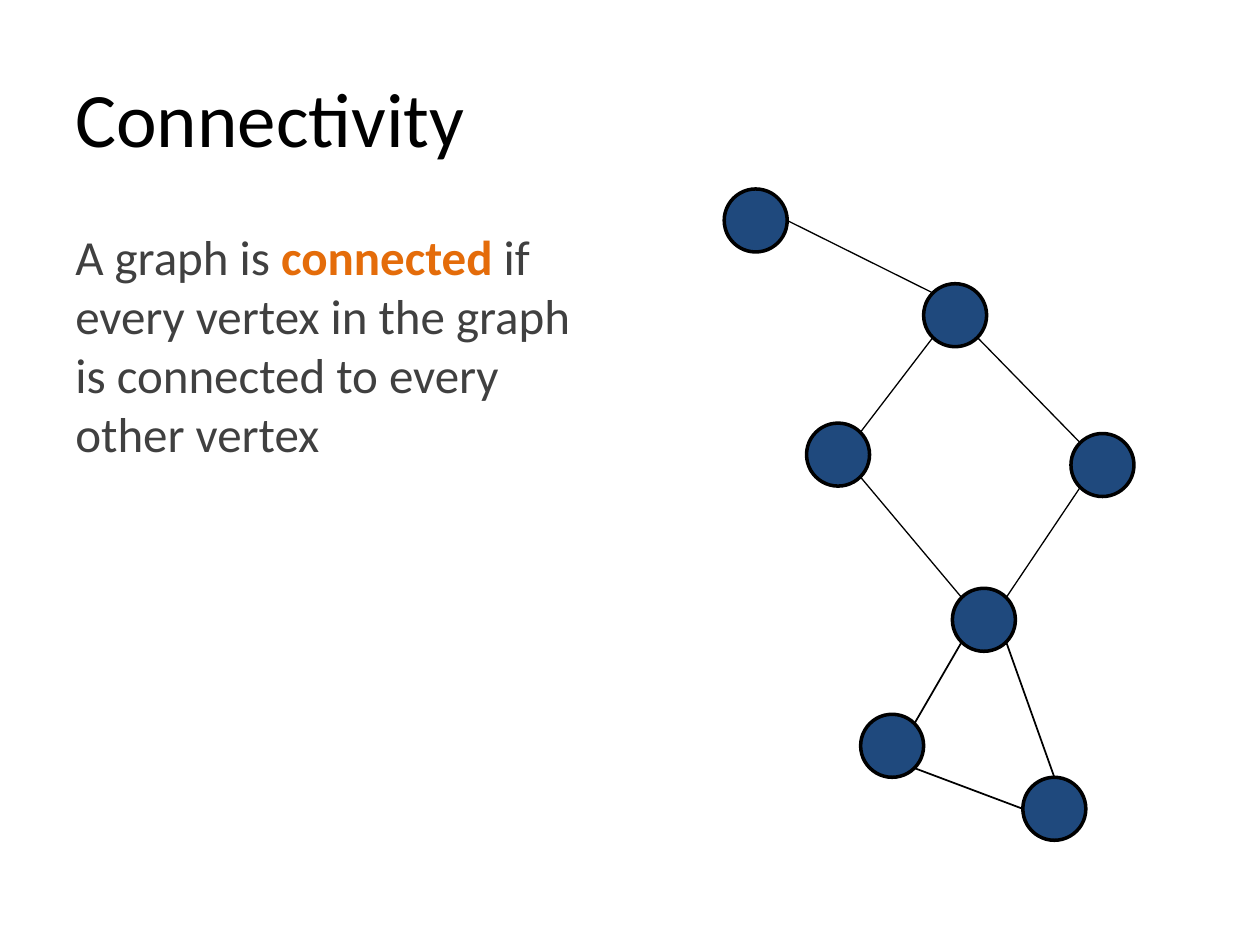
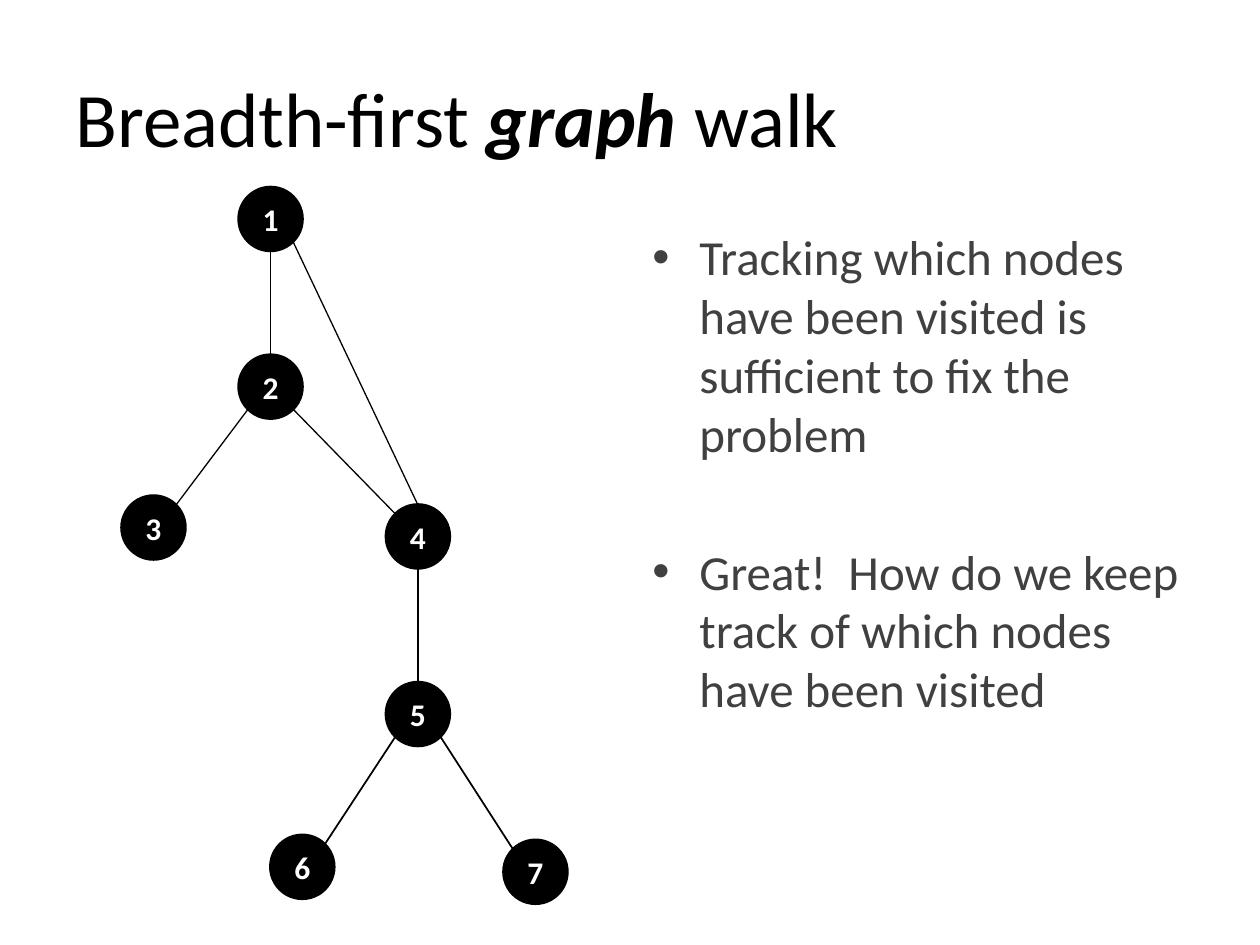
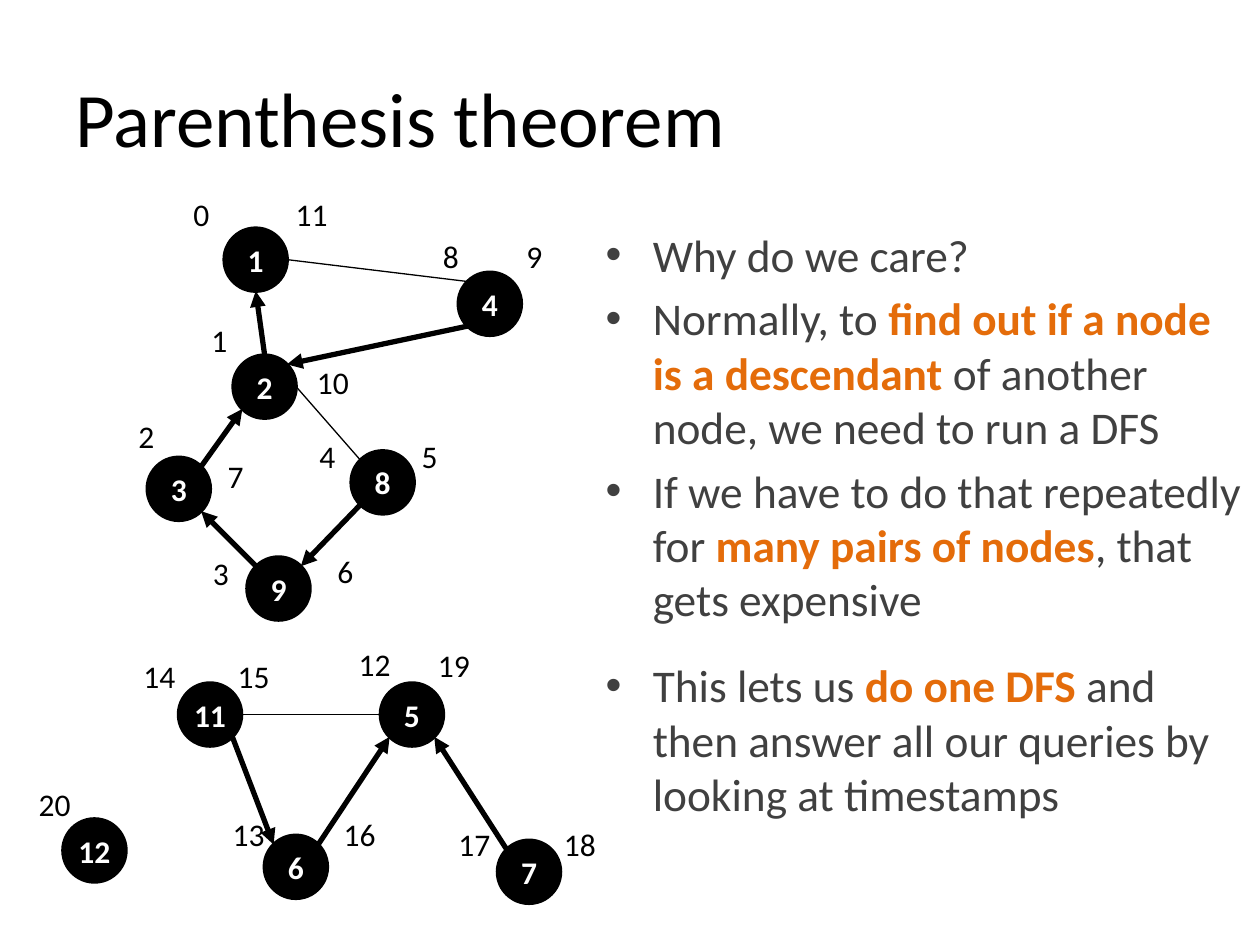
from lxml import etree
from pptx import Presentation
from pptx.dml.color import RGBColor
from pptx.enum.shapes import MSO_CONNECTOR, MSO_SHAPE
from pptx.enum.text import MSO_ANCHOR, PP_ALIGN
from pptx.oxml.ns import qn
from pptx.util import Cm, Pt

STRAIGHT = MSO_CONNECTOR.STRAIGHT
OVAL = MSO_SHAPE.OVAL
MIDDLE = MSO_ANCHOR.MIDDLE
CENTER = PP_ALIGN.CENTER

FONT = "Calibri"
BLACK = "000000"
WHITE = "FFFFFF"
BLUE = "1F497D"
GRAY = "404040"
ORANGE = "E46C0A"

SLIDE_SIZE = (25.4, 19.05)
TITLE_BOX = (1.27, 0.76, 22.86, 3.18)
BODY_TOP = 4.45
BODY_HEIGHT = 12.57
BULLET_INDENT = 0.95
NODE_SIZE = 1.27
NODE_LINE = 2
HAIRLINE = 0.75
THIN = 1
ARROW = 3

TITLE = {"size": Pt(44), "color": BLACK}
TITLE_STRESS = {**TITLE, "bold": True, "italic": True}
BODY = {"size": Pt(28), "color": GRAY}
BODY_STRESS = {**BODY, "bold": True, "color": ORANGE}
SMALL = {**BODY, "size": Pt(25.9)}
SMALL_STRESS = {**BODY_STRESS, "size": Pt(25.9)}
NODE_TEXT = {"size": Pt(18), "color": WHITE, "bold": True}
TIME_TEXT = {"size": Pt(18), "color": BLACK}

DIAGONAL = 0.5 ** 0.5
PORTS = {
    "n": (0, -1),
    "ne": (DIAGONAL, -DIAGONAL),
    "e": (1, 0),
    "se": (DIAGONAL, DIAGONAL),
    "s": (0, 1),
    "sw": (-DIAGONAL, DIAGONAL),
    "w": (-1, 0),
    "nw": (-DIAGONAL, -DIAGONAL),
}

CONNECTED_GRAPH = {
    "box": (14.6, 3.81),
    "fill": BLUE,
    "nodes": {
        "a": (0, 0), "b": (4.02, 1.91), "c": (1.66, 4.72), "d": (4.6, 8.05),
        "e": (6.99, 4.93), "f": (6.02, 11.86), "g": (2.75, 10.59),
    },
    "edges": {
        THIN: ["d se f n", "f w g se", "g ne d sw"],
        HAIRLINE: ["a e b nw", "c ne b sw", "b se e nw", "e sw d ne", "c se d nw"],
    },
}

BREADTH_GRAPH = {
    "box": (2.46, 3.78),
    "fill": BLACK,
    "numbered": True,
    "nodes": {
        "1": (2.36, 0), "2": (2.36, 3.38), "3": (0, 6.22), "4": (5.33, 6.4),
        "5": (5.33, 9.98), "6": (3, 13.06), "7": (7.7, 13.16),
    },
    "edges": {
        THIN: ["5 se 7 nw", "6 ne 5 sw"],
        HAIRLINE: ["3 ne 2 sw", "2 se 4 nw", "1 s 2 n", "4 s 5 n", "4 n 1 se"],
    },
}

DEPTH_GRAPH = {
    "box": (0.53, 3.81),
    "fill": BLACK,
    "numbered": True,
    "nodes": {
        "1": (3.99, 0.79), "2": (4.17, 3.35), "3": (2.44, 5.41), "4": (8.71, 1.68),
        "5": (7.14, 9.96), "6": (4.8, 13.03), "7": (9.5, 13.13), "8": (6.55, 5.28),
        "9": (4.45, 7.42), "11": (3.07, 9.96), "12": (0.74, 12.7),
    },
    "edges": {
        ARROW: ["7 nw 5 se", "6 ne 5 sw", "3 ne 2 sw", "4 sw 2 ne",
                "2 n 1 s", "8 sw 9 ne", "9 nw 3 se", "11 se 6 nw"],
        THIN: ["5 w 11 e"],
        HAIRLINE: ["4 nw 1 e", "2 e 8 nw"],
    },
}

TIMESTAMPS = [
    (3.12, 0), (3.48, 2.54), (2.01, 4.47), (3.51, 7.24), (5.66, 4.88), (7.72, 4.88),
    (6.02, 7.19), (3.81, 5.28), (8.15, 0.84), (9.83, 0.84), (5.61, 3.38), (5.18, 0),
    (6.45, 9.07), (3.91, 12.5), (2.11, 9.32), (4.01, 9.32), (6.15, 12.5), (8.46, 12.7),
    (10.59, 12.7), (8.05, 9.09), (0, 11.89),
]


def rgb(value):
    return RGBColor.from_string(value)


def add_run(paragraph, text, style):
    run = paragraph.add_run()
    run.text = text
    run.font.name = FONT
    for name, value in style.items():
        if name == "color":
            run.font.color.rgb = rgb(value)
        else:
            setattr(run.font, name, value)


def add_text(slide, box, runs, **frame_format):
    frame = slide.shapes.add_textbox(*map(Cm, box)).text_frame
    for name, value in {"word_wrap": True, **frame_format}.items():
        setattr(frame, name, value)
    for text, style in runs:
        add_run(frame.paragraphs[0], text, style)
    return frame


def add_bullet(paragraph):
    properties = paragraph._p.get_or_add_pPr()
    properties.set("marL", str(Cm(BULLET_INDENT)))
    properties.set("indent", str(-Cm(BULLET_INDENT)))
    etree.SubElement(properties, qn("a:buFont")).set("typeface", "Arial")
    etree.SubElement(properties, qn("a:buChar")).set("char", "•")


def add_bullets(slide, left, width, items):
    frame = add_text(slide, (left, BODY_TOP, width, BODY_HEIGHT), [])
    for index, (space, runs) in enumerate(items):
        paragraph = frame.add_paragraph() if index else frame.paragraphs[0]
        paragraph.space_before = Pt(space)
        add_bullet(paragraph)
        for text, style in runs:
            add_run(paragraph, text, style)


def add_node(slide, left, top, fill, text):
    shape = slide.shapes.add_shape(OVAL, *map(Cm, (left, top, NODE_SIZE, NODE_SIZE)))
    shape.shadow.inherit = False
    shape.fill.solid()
    shape.fill.fore_color.rgb = rgb(fill)
    shape.line.color.rgb = rgb(BLACK)
    shape.line.width = Pt(NODE_LINE)
    if text:
        frame = shape.text_frame
        frame.vertical_anchor = MIDDLE
        frame.word_wrap = False
        frame.paragraphs[0].alignment = CENTER
        add_run(frame.paragraphs[0], text, NODE_TEXT)


def add_edge(slide, start, end, weight):
    connector = slide.shapes.add_connector(STRAIGHT, *map(Cm, start + end))
    connector.line.color.rgb = rgb(BLACK)
    connector.line.width = Pt(weight)
    if weight == ARROW:
        line = connector.line._get_or_add_ln()
        etree.SubElement(line, qn("a:tailEnd")).set("type", "triangle")
    etree.SubElement(connector._element.spPr, qn("a:effectLst"))


def add_graph(slide, graph):
    left, top = graph["box"]
    nodes = {name: (left + x, top + y) for name, (x, y) in graph["nodes"].items()}
    for name, (x, y) in nodes.items():
        add_node(slide, x, y, graph["fill"], name if graph.get("numbered") else "")

    def port(name, side):
        return tuple(corner + NODE_SIZE / 2 * (1 + offset)
                     for corner, offset in zip(nodes[name], PORTS[side]))

    for weight, edges in graph["edges"].items():
        for edge in edges:
            source, source_side, target, target_side = edge.split()
            add_edge(slide, port(source, source_side), port(target, target_side), weight)


def add_timestamps(slide, box):
    left, top = box
    for time, (x, y) in enumerate(TIMESTAMPS):
        width = 0.84 if time < 10 else 1.17
        add_text(slide, (left + x, top + y, width, 1.02),
                 [(str(time), TIME_TEXT)], word_wrap=False)


def add_titled_slide(presentation, title):
    slide = presentation.slides.add_slide(presentation.slide_layouts[6])
    add_text(slide, TITLE_BOX, title, vertical_anchor=MIDDLE)
    return slide


def add_connectivity(presentation):
    slide = add_titled_slide(presentation, [("Connectivity", TITLE)])
    add_text(slide, (1.27, BODY_TOP, 11.23, BODY_HEIGHT), [
        ("A graph is ", BODY),
        ("connected ", BODY_STRESS),
        ("if every vertex in the graph is connected to every other vertex", BODY),
    ])
    add_graph(slide, CONNECTED_GRAPH)


def add_breadth_first(presentation):
    slide = add_titled_slide(presentation, [
        ("Breadth-first ", TITLE), ("graph", TITLE_STRESS), (" walk", TITLE),
    ])
    add_bullets(slide, 12.9, 11.23, [
        (0, [("Tracking which nodes have been visited is sufficient to fix the problem", BODY)]),
        (45, [("Great!  How do we keep track of which nodes have been visited", BODY)]),
    ])
    add_graph(slide, BREADTH_GRAPH)


def add_parenthesis_theorem(presentation):
    slide = add_titled_slide(presentation, [("Parenthesis theorem", TITLE)])
    add_bullets(slide, 11.96, 13.44, [
        (0, [("Why do we care?", SMALL)]),
        (5.2, [("Normally, to ", SMALL),
               ("find out if a node is a descendant", SMALL_STRESS),
               (" of another node, we need to run a DFS", SMALL)]),
        (5.2, [("If we have to do that repeatedly for ", SMALL),
               ("many pairs of nodes", SMALL_STRESS),
               (", that gets expensive", SMALL)]),
        (18, [("This lets us ", SMALL),
              ("do one DFS ", SMALL_STRESS),
              ("and then answer all our queries by looking at timestamps", SMALL)]),
    ])
    add_graph(slide, DEPTH_GRAPH)
    add_timestamps(slide, DEPTH_GRAPH["box"])


def main():
    presentation = Presentation()
    presentation.slide_width, presentation.slide_height = map(Cm, SLIDE_SIZE)
    add_connectivity(presentation)
    add_breadth_first(presentation)
    add_parenthesis_theorem(presentation)
    presentation.save("out.pptx")


if __name__ == "__main__":
    main()
